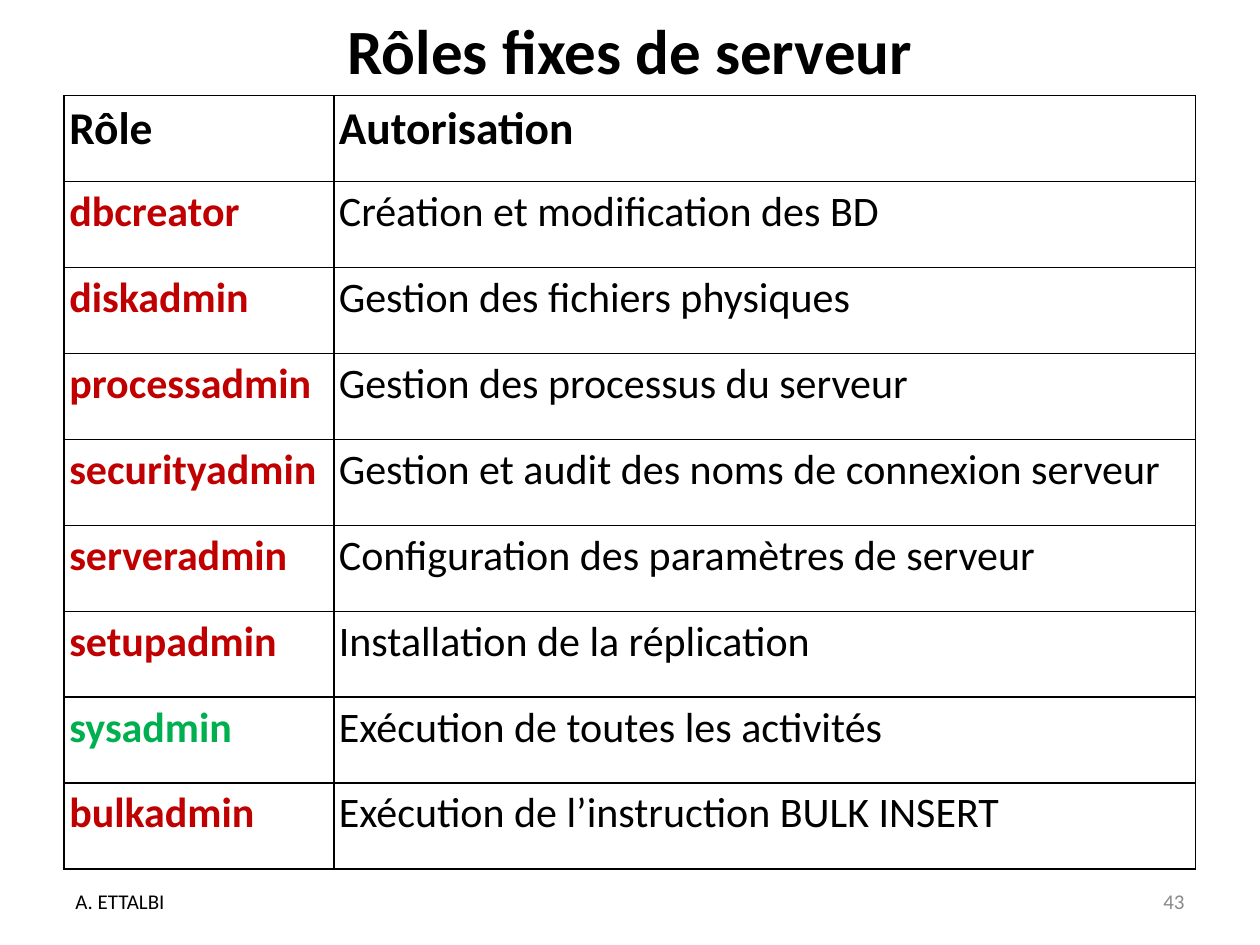
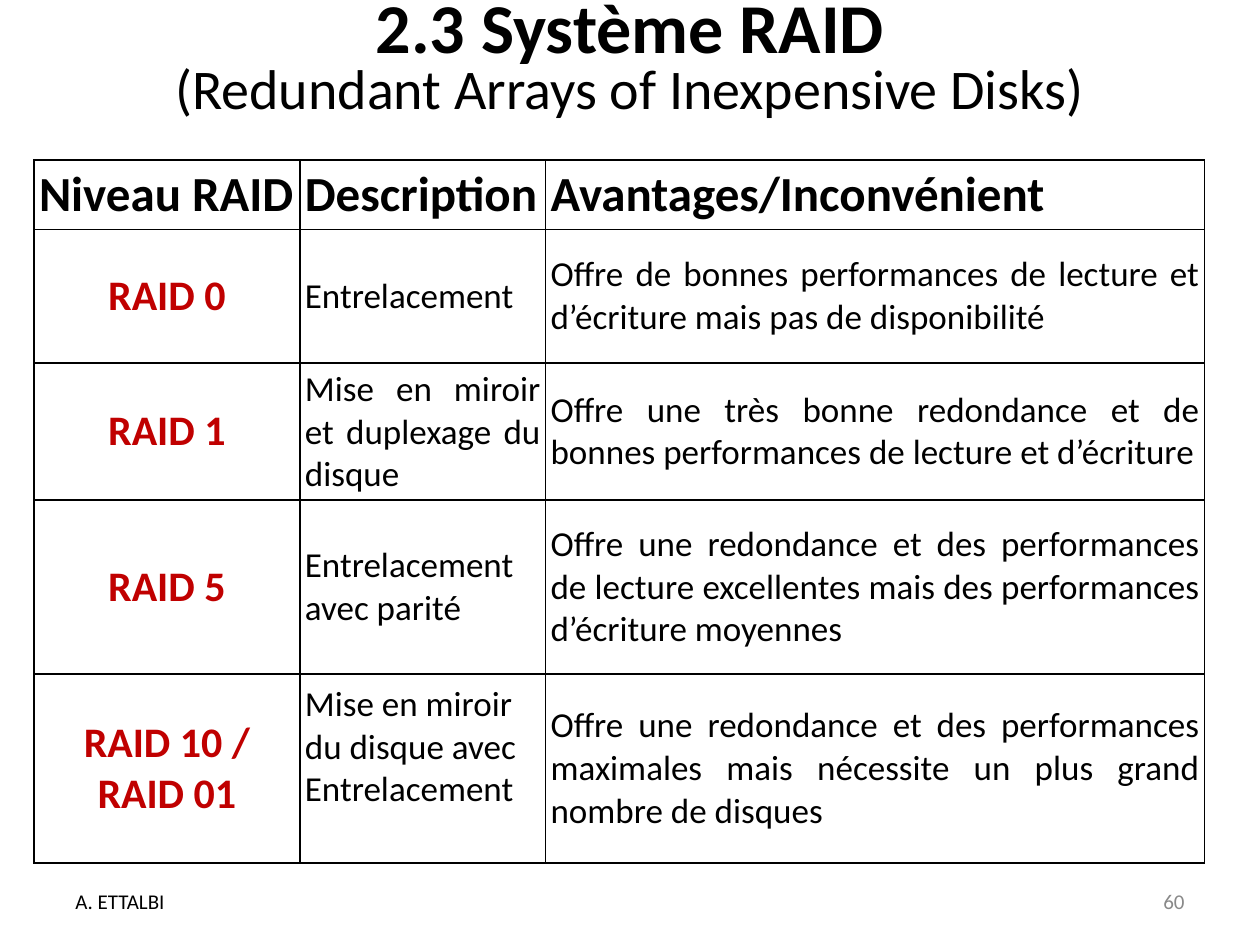
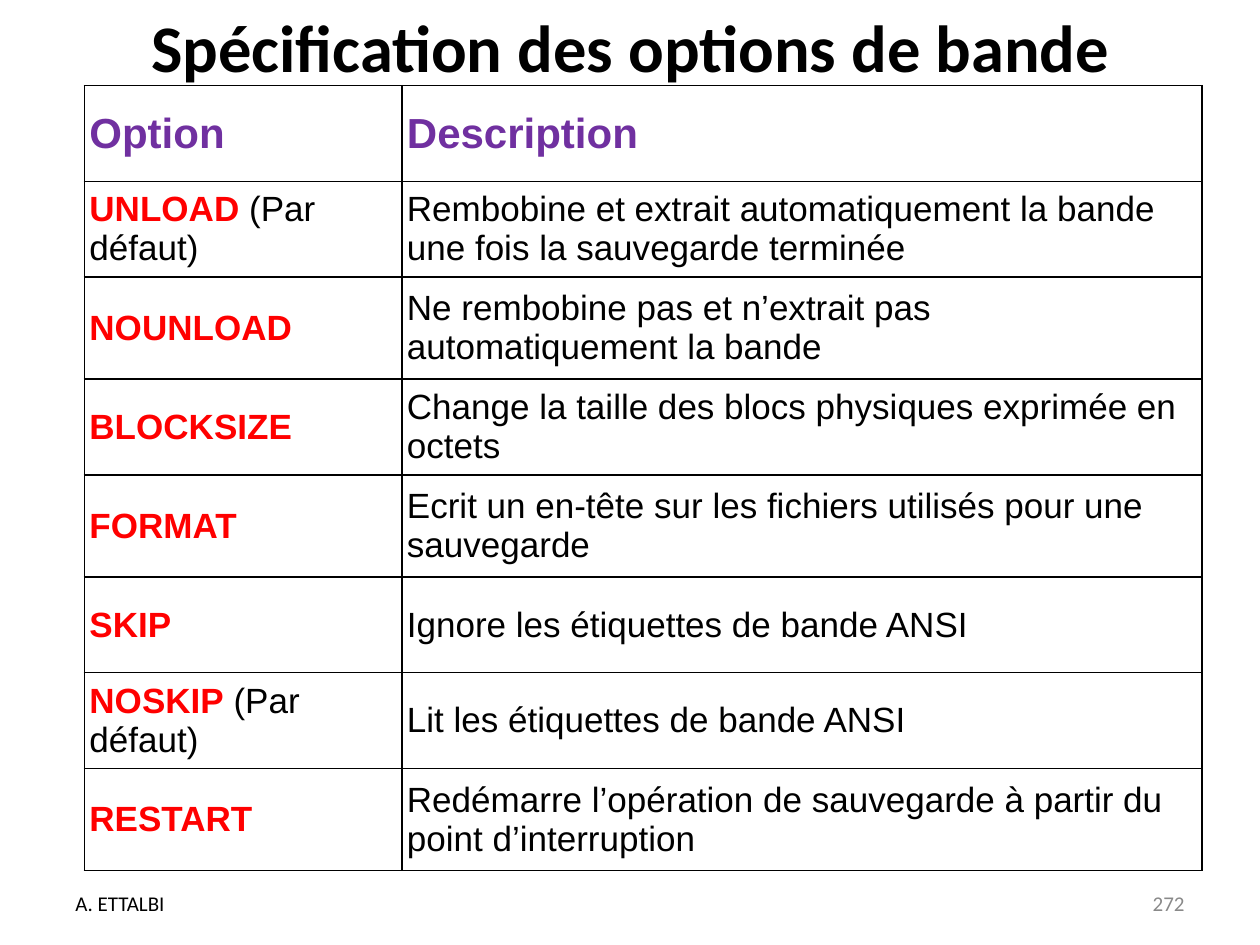
"""Build three slides of database administration tables: server roles, RAID levels and tape options."""
from lxml import etree
from pptx import Presentation
from pptx import util as u
from pptx.dml import color
from pptx.enum import text
from pptx.oxml import ns

COLORS = {
    "black": "000000",
    "white": "FFFFFF",
    "grey": "898989",
    "dark_red": "C00000",
    "red": "FF0000",
    "green": "00B050",
    "purple": "7030A0",
}
LEFT, CENTER, RIGHT, JUSTIFY = (
    text.PP_ALIGN.LEFT, text.PP_ALIGN.CENTER, text.PP_ALIGN.RIGHT, text.PP_ALIGN.JUSTIFY)
TOP, MIDDLE = text.MSO_ANCHOR.TOP, text.MSO_ANCHOR.MIDDLE
INSET = 0.04

PAGES = [
    {
        "number": "43", "footer_top": 6.95,
        "title": [("Rôles fixes de serveur", 36, True)],
        "title_at": (0.51, 0.05, 8.98, 0.78), "title_anchor": TOP, "title_spacing": 1,
        "table_at": (0.51, 0.76), "columns": [2.14, 6.84], "heights": [6.14 / 9] * 9,
        "font": "Calibri", "anchor": TOP, "fill": "white",
        "header": (26, "black"), "key": (24, "dark_red", LEFT), "body": (24, LEFT),
        "rows": [
            ["Rôle", "Autorisation"],
            ["dbcreator", "Création et modification des BD"],
            ["diskadmin", "Gestion des fichiers physiques"],
            ["processadmin", "Gestion des processus du serveur"],
            ["securityadmin", "Gestion et audit des noms de connexion serveur"],
            ["serveradmin", "Configuration des paramètres de serveur"],
            ["setupadmin", "Installation de la réplication"],
            ["sysadmin", "Exécution de toutes les activités"],
            ["bulkadmin", "Exécution de l’instruction BULK INSERT"],
        ],
    },
    {
        "number": "60", "footer_top": 6.95,
        "title": [("2.3 Système RAID", 40, True),
                  ("(Redundant Arrays of Inexpensive Disks)", 32, False)],
        "title_at": (0.5, 0.05, 9, 0.85), "title_anchor": MIDDLE, "title_spacing": 0.8,
        "table_at": (0.27, 1.27), "columns": [2.11, 1.95, 5.23],
        "heights": [0.55, 1.06, 1.09, 1.38, 1.5],
        "font": "Calibri", "anchor": MIDDLE, "fill": None,
        "header": (28, "black"), "key": (24, "dark_red", CENTER), "body": (20, JUSTIFY),
        "rows": [
            ["Niveau RAID", "Description", "Avantages/Inconvénient"],
            ["RAID 0", "Entrelacement",
             "Offre de bonnes performances de lecture et d’écriture mais pas de disponibilité"],
            ["RAID 1", "Mise en miroir et duplexage du disque",
             "Offre une très bonne redondance et de bonnes performances de lecture et d’écriture"],
            ["RAID 5", "Entrelacement avec parité",
             "Offre une redondance et des performances de lecture excellentes "
             "mais des performances d’écriture moyennes"],
            ["RAID 10 / RAID 01", "Mise en miroir du disque avec Entrelacement",
             "Offre une redondance et des performances maximales "
             "mais nécessite un plus grand nombre de disques"],
        ],
    },
    {
        "number": "272", "footer_top": 6.97,
        "title": [("Spécification des options de bande", 38, True)],
        "title_at": (0.2, 0.05, 9.61, 0.63), "title_anchor": MIDDLE, "title_spacing": 1,
        "table_at": (0.67, 0.68), "columns": [2.52, 6.35],
        "heights": [0.76, 0.76, 0.81, 0.76, 0.81, 0.76, 0.76, 0.81],
        "font": "Arial", "anchor": MIDDLE, "fill": None,
        "header": (24, "purple"), "key": (20, "red", LEFT), "body": (20, LEFT),
        "rows": [
            ["Option", "Description"],
            ["UNLOAD (Par défaut)",
             "Rembobine et extrait automatiquement la bande une fois la sauvegarde terminée"],
            ["NOUNLOAD", "Ne rembobine pas et n’extrait pas automatiquement la bande"],
            ["BLOCKSIZE", "Change la taille des blocs physiques exprimée en octets"],
            ["FORMAT", "Ecrit un en-tête sur les fichiers utilisés pour une sauvegarde"],
            ["SKIP", "Ignore les étiquettes de bande ANSI"],
            ["NOSKIP (Par défaut)", "Lit les étiquettes de bande ANSI"],
            ["RESTART", "Redémarre l’opération de sauvegarde à partir du point d’interruption"],
        ],
    },
]


def add_span(para, words, size, shade="black", bold=False, font="Calibri"):
    span = para.add_run()
    span.text = words
    span.font.size = u.Pt(size)
    span.font.name = font
    span.font.bold = bold
    span.font.color.rgb = color.RGBColor.from_string(COLORS[shade])


def add_box(page, place, anchor, align):
    box = page.shapes.add_textbox(*map(u.Inches, place))
    box.text_frame.word_wrap = True
    box.text_frame.vertical_anchor = anchor
    box.text_frame.paragraphs[0].alignment = align
    return box.text_frame


deck = Presentation()
deck.slide_width, deck.slide_height = u.Inches(10), u.Inches(7.5)

for content in PAGES:
    page = deck.slides.add_slide(deck.slide_layouts[6])

    frame = add_box(page, content["title_at"], content["title_anchor"], CENTER)
    para = frame.paragraphs[0]
    para.line_spacing = content["title_spacing"]
    for index, (words, size, bold) in enumerate(content["title"]):
        if index:
            para.add_line_break()
        add_span(para, words, size, bold=bold)

    rows, columns, heights = content["rows"], content["columns"], content["heights"]
    place = (*content["table_at"], sum(columns), sum(heights))
    table = page.shapes.add_table(len(rows), len(columns), *map(u.Inches, place)).table
    table.first_row = table.horz_banding = False
    for column, width in zip(table.columns, columns):
        column.width = u.Inches(width)
    for row, height in zip(table.rows, heights):
        row.height = u.Inches(height)

    for row_index, row in enumerate(rows):
        for column_index, words in enumerate(row):
            cell = table.cell(row_index, column_index)
            cell.vertical_anchor = content["anchor"]
            cell.margin_left = cell.margin_right = u.Inches(INSET)
            cell.margin_top = cell.margin_bottom = u.Inches(INSET)
            if content["fill"]:
                cell.fill.solid()
                cell.fill.fore_color.rgb = color.RGBColor.from_string(COLORS[content["fill"]])
            else:
                cell.fill.background()
            properties = cell._tc.get_or_add_tcPr()
            for position, side in enumerate(("lnL", "lnR", "lnT", "lnB")):
                border = etree.Element(ns.qn(f"a:{side}"), w=str(u.Pt(1)))
                paint = etree.SubElement(border, ns.qn("a:solidFill"))
                etree.SubElement(paint, ns.qn("a:srgbClr"), val=COLORS["black"])
                properties.insert(position, border)

            para = cell.text_frame.paragraphs[0]
            font = content["font"]
            if row_index == 0:
                size, shade = content["header"]
                add_span(para, words, size, shade, True, font)
            elif column_index == 0:
                size, shade, para.alignment = content["key"]
                key, bracket, remark = words.partition(" (")
                add_span(para, key, size, "green" if key == "sysadmin" else shade, True, font)
                if bracket:
                    add_span(para, bracket + remark, size, font=font)
            else:
                size, para.alignment = content["body"]
                add_span(para, words, size, font=font)

    if content["number"] == "60":
        mirror_cell = table.cell(4, 1)
        mirror_cell.margin_bottom = u.Inches(0.38)
        mirror_cell.text_frame.paragraphs[0].alignment = LEFT

    for left, align, words, shade in (
            (0.5, LEFT, "A. ETTALBI", "black"), (7.17, RIGHT, content["number"], "grey")):
        frame = add_box(page, (left, content["footer_top"], 2.33, 0.4), MIDDLE, align)
        add_span(frame.paragraphs[0], words, 12, shade)

    if content["title_anchor"] == TOP:
        title = page.shapes[0].text_frame
        title.margin_left = title.margin_right = u.Inches(INSET)
        title.margin_top = title.margin_bottom = u.Inches(INSET)

deck.save("out.pptx")
